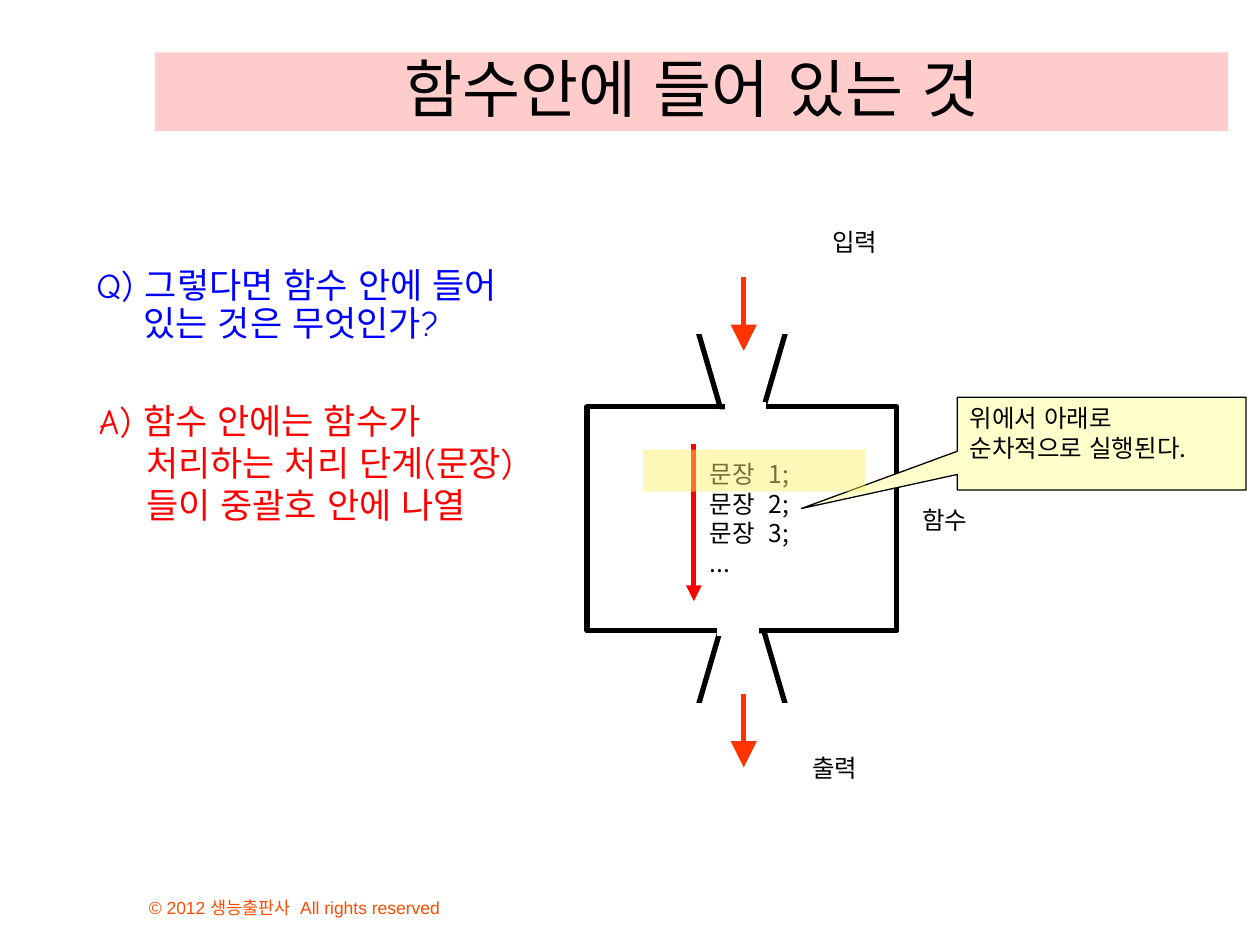
from lxml.etree import SubElement
from pptx import Presentation
from pptx.dml.color import RGBColor
from pptx.enum.lang import MSO_LANGUAGE_ID
from pptx.enum.shapes import MSO_CONNECTOR, MSO_SHAPE
from pptx.enum.text import MSO_ANCHOR, PP_ALIGN
from pptx.oxml.ns import qn
from pptx.util import Pt

BLACK = RGBColor(0x00, 0x00, 0x00)
WHITE = RGBColor(0xFF, 0xFF, 0xFF)
BLUE = RGBColor(0x00, 0x00, 0xFF)
RED = RGBColor(0xFF, 0x00, 0x00)
ORANGE = RGBColor(0xFF, 0x33, 0x00)
FOOTER_ORANGE = RGBColor(0xFF, 0x4C, 0x00)
PINK = RGBColor(0xFF, 0xCC, 0xCC)
CREAM = RGBColor(0xFF, 0xFF, 0xCC)
YELLOW = RGBColor(0xFF, 0xEF, 0x66)

KOREAN = "Noto Sans CJK KR"
HANDWRITTEN = "Comic Neue"


def write_text(shape, text, size=14, color=BLACK, font=KOREAN, align=PP_ALIGN.LEFT,
               anchor=MSO_ANCHOR.TOP, wrap=True, left_indent=0, first_indent=0,
               line_spacing=None):
    """Write one paragraph for each line of text."""
    frame = shape.text_frame
    frame.word_wrap = wrap
    frame.vertical_anchor = anchor
    for index, line in enumerate(text.split("\n")):
        para = frame.add_paragraph() if index else frame.paragraphs[0]
        para.alignment = align
        para.line_spacing = line_spacing
        properties = para._p.get_or_add_pPr()
        properties.set("marL", str(Pt(left_indent)))
        properties.set("indent", str(Pt(first_indent)))
        span = para.add_run()
        span.text = line
        span.font.size = Pt(size)
        span.font.name = font
        span.font.color.rgb = color
        span.font.language_id = MSO_LANGUAGE_ID.KOREAN
        SubElement(span._r.get_or_add_rPr(), qn("a:ea"), typeface=KOREAN)


def add_text(page, box, text, **text_format):
    shape = page.shapes.add_textbox(*map(Pt, box))
    write_text(shape, text, **text_format)
    return shape


def paint(shape, fill=None, line=None, width=0.75):
    shape.shadow.inherit = False
    if fill is None:
        shape.fill.background()
    else:
        shape.fill.solid()
        shape.fill.fore_color.rgb = fill
    if line is None:
        shape.line.fill.background()
    else:
        shape.line.color.rgb = line
        shape.line.width = Pt(width)


def add_preset(page, kind, box, **style):
    shape = page.shapes.add_shape(kind, *map(Pt, box))
    paint(shape, **style)
    return shape


def add_line(page, start, end, color, width=3, head=None):
    """Draw a line; head is the arrowhead size, med or lg."""
    line = page.shapes.add_connector(MSO_CONNECTOR.STRAIGHT, *map(Pt, (*start, *end)))
    line.line.color.rgb = color
    line.line.width = Pt(width)
    if head:
        SubElement(line.line._get_or_add_ln(), qn("a:tailEnd"),
                   type="triangle", w=head, len=head)
    SubElement(line._element.spPr, qn("a:effectLst"))


def add_funnel(page, center, mouth_y, neck_y, neck_shift):
    """Draw a funnel and open its mouth and neck with white lines."""
    mouth, neck = 25.5, 12.5
    builder = page.shapes.build_freeform(Pt(center - mouth), Pt(mouth_y), scale=1.0)
    corners = [(center - neck, neck_y), (center + neck, neck_y), (center + mouth, mouth_y)]
    builder.add_line_segments([(Pt(x), Pt(y)) for x, y in corners], close=True)
    paint(builder.convert_to_shape(), line=BLACK, width=3)
    for x, y, half in ((center + 1.5, mouth_y, 31.5), (center + neck_shift, neck_y, 12)):
        add_line(page, (x - half, y), (x + half, y), WHITE, width=6)


def add_title(page, box):
    title = add_text(page, box, "함수안에 들어 있는 것", size=36,
                     align=PP_ALIGN.CENTER, anchor=MSO_ANCHOR.BOTTOM)
    title.fill.solid()
    title.fill.fore_color.rgb = PINK


def add_question_and_answer(page, box):
    left, top, width, height = box
    hanging = dict(size=20, font=HANDWRITTEN, left_indent=27, first_indent=-27)
    add_text(page, (left, top, width, 55), "Q) 그렇다면 함수 안에 들어 있는 것은 무엇인가?",
             color=BLUE, line_spacing=0.9, **hanging)
    add_text(page, (left + 1.5, top + 75, width, height - 75),
             "A) 함수 안에는 함수가 처리하는 처리 단계(문장)들이 중괄호 안에 나열",
             color=RED, **hanging)


def add_function_machine(page, box):
    """Draw the function body with its input, output and statements."""
    left, top, width, height = box
    center, bottom = left + width / 2, top + height
    add_preset(page, MSO_SHAPE.RECTANGLE, box, line=BLACK, width=3)
    add_funnel(page, center, top - 44.5, top, neck_shift=2)
    add_funnel(page, center, bottom + 44.5, bottom, neck_shift=-2.5)

    labels = (("함수", left + width + 7.5, top + 52.5),
              ("입력", center + 44.5, top - 106.5),
              ("출력", center + 33, bottom + 66.5))
    for text, x, y in labels:
        add_text(page, (x, y, 42.5, 24), text, wrap=False)

    for y in (top - 74, bottom + 36):
        add_line(page, (center + 1, y), (center + 1, y + 42), ORANGE, head="lg")
    add_line(page, (left + 61, top + 21), (left + 61, top + 111), RED, head="med")
    add_text(page, (left + 56, top + 26.5, 78, 91),
             "문장  1;\n문장  2;\n문장  3;\n...", left_indent=7)


def add_callout(page, box):
    callout = add_preset(page, MSO_SHAPE.RECTANGULAR_CALLOUT, box, fill=CREAM, line=BLACK)
    callout.adjustments[0] = -1.04
    callout.adjustments[1] = 0.7
    write_text(callout, "위에서 아래로\n순차적으로 실행된다.")


def add_highlight(page, box):
    highlight = add_preset(page, MSO_SHAPE.RECTANGLE, box, fill=YELLOW)
    color = highlight._element.spPr.find(qn("a:solidFill"))[0]
    SubElement(color, qn("a:alpha"), val="47000")


def add_footer(page, box):
    add_text(page, box, "© 2012 생능출판사  All rights reserved", size=10,
             font="Arial", color=FOOTER_ORANGE, anchor=MSO_ANCHOR.BOTTOM)


def main():
    deck = Presentation()
    deck.slide_width, deck.slide_height = Pt(720), Pt(540)
    page = deck.slides.add_slide(deck.slide_layouts[6])
    add_footer(page, (78, 498, 276, 30))
    add_title(page, (88.5, 30, 613.5, 45))
    add_function_machine(page, (335.5, 232.5, 177, 128))
    add_callout(page, (547, 227, 165, 53))
    add_question_and_answer(page, (48, 150, 271, 191.5))
    add_highlight(page, (367.5, 257, 127, 24))
    deck.save("out.pptx")


if __name__ == "__main__":
    main()
